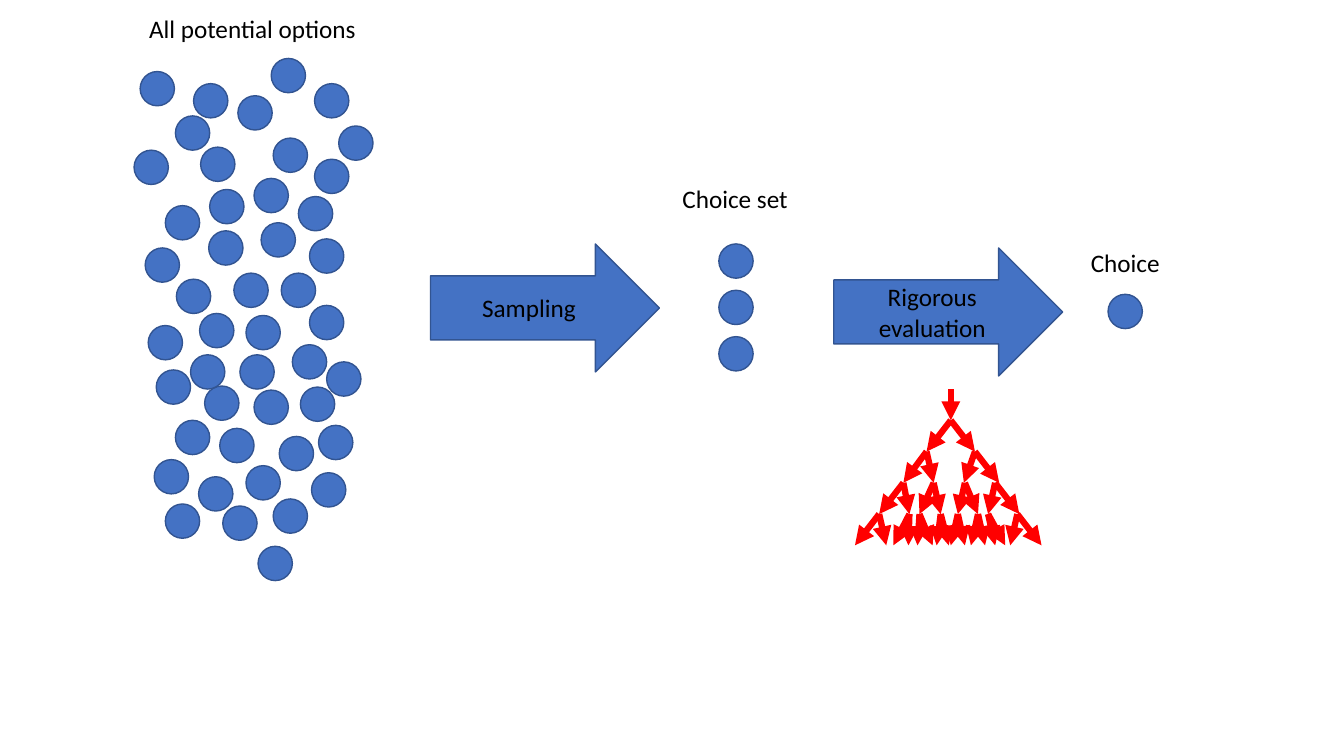
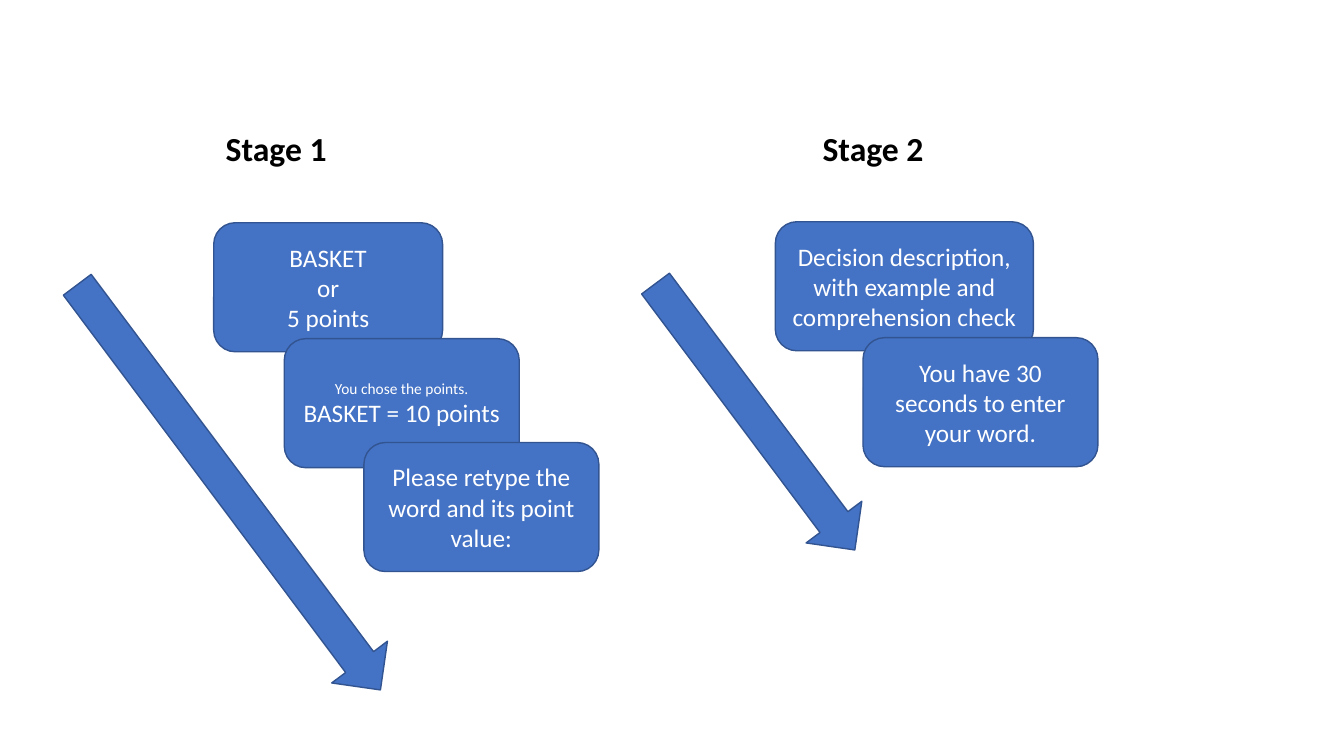
from lxml.etree import SubElement
from pptx import Presentation
from pptx.dml.color import RGBColor
from pptx.enum.shapes import MSO_CONNECTOR, MSO_SHAPE
from pptx.enum.text import MSO_ANCHOR, MSO_AUTO_SIZE, PP_ALIGN
from pptx.oxml.ns import qn
from pptx.util import Inches, Pt

OVAL, CARD = MSO_SHAPE.OVAL, MSO_SHAPE.ROUNDED_RECTANGLE
ARROW, LINE = MSO_SHAPE.RIGHT_ARROW, MSO_CONNECTOR.STRAIGHT
CENTER, LEFT = PP_ALIGN.CENTER, PP_ALIGN.LEFT
MIDDLE, FIT = MSO_ANCHOR.MIDDLE, MSO_AUTO_SIZE.SHAPE_TO_FIT_TEXT

# The grid has square cells, one inch wide
CELL, COLS, ROWS = Inches(1), 13.33, 7.5
COLORS = {"blue": "4472C4", "edge": "325491", "red": "FF0000",
          "ink": "000000", "white": "FFFFFF"}
FONT = "Calibri"
DOT = 0.34


def span(*cells):
    """Turn grid cells into lengths."""
    return [int(n * CELL) for n in cells]


def color(name):
    """Look up a colour by name."""
    return RGBColor.from_string(COLORS[name])


class Board:
    """Hold the deck's style and draw on the current slide."""

    def __init__(self):
        """Start an empty deck."""
        self.deck = Presentation()
        self.deck.slide_width, self.deck.slide_height = span(COLS, ROWS)

    def slide(self):
        """Add a blank slide and draw on it."""
        page = self.deck.slides.add_slide(self.deck.slide_layouts[6])
        self.root = self.shapes = page.shapes

    def group(self):
        """Draw into a new group."""
        self.shapes = self.root.add_group_shape().shapes

    def ungroup(self):
        """Draw on the slide itself again."""
        self.shapes = self.root

    def letter(self, frame, text, sizes, ink, align, bold=False):
        """Fill a frame; the last size serves all further lines."""
        frame.text = text
        for i, line in enumerate(frame.paragraphs):
            line.alignment = align
            for run in line.runs:
                font = run.font
                font.name, font.bold = FONT, bold
                font.size = Pt(sizes[min(i, len(sizes) - 1)])
                font.color.rgb = color(ink)

    def shape(self, kind, x, y, w, h, text="", ink="white", sizes=(18,)):
        """Add a blue shape with centred text."""
        item = self.shapes.add_shape(kind, *span(x, y, w, h))
        item.shadow.inherit = False
        item.fill.solid()
        item.fill.fore_color.rgb = color("blue")
        item.line.color.rgb = color("edge")
        item.line.width = Pt(1)
        if text:
            item.text_frame.vertical_anchor = MIDDLE
            self.letter(item.text_frame, text, sizes, ink, CENTER)
        return item

    def dot(self, x, y):
        """Add one option."""
        self.shape(OVAL, x, y, DOT, DOT)

    def label(self, x, y, w, h, text, size=18, bold=False):
        """Add a caption on one line."""
        frame = self.shapes.add_textbox(*span(x, y, w, h)).text_frame
        frame.word_wrap = False
        frame.auto_size = FIT
        self.letter(frame, text, (size,), "ink", LEFT, bold)

    def branch(self, x1, y1, x2, y2):
        """Add a red line with an arrowhead at its end."""
        item = self.shapes.add_connector(LINE, *span(x1, y1, x2, y2))
        item.line.color.rgb = color("red")
        item.line.width = Pt(4.5)
        props = item.element.spPr
        SubElement(props.find(qn("a:ln")), qn("a:tailEnd"), type="triangle")
        SubElement(props, qn("a:effectLst"))


OPTIONS = [
    (2.71, 1.37), (2.36, 0.95), (3.12, 1.58), (3.36, 1.25), (3.12, 0.83),
    (2.69, 0.58), (2.96, 1.95), (3.07, 2.37), (2.52, 1.77), (2.79, 2.71),
    (2.59, 2.21), (1.99, 1.46), (1.44, 2.46), (2.44, 3.13), (2.32, 2.71),
    (2.07, 2.29), (1.64, 2.04), (1.98, 3.11), (2.03, 3.83), (1.47, 3.23),
    (1.74, 4.17), (1.55, 3.67), (1.75, 2.77), (2.38, 3.52), (1.89, 3.52),
    (3.07, 3.03), (3.24, 3.59), (2.9, 3.42), (2.18, 4.25), (3.16, 4.22),
    (2.98, 3.84), (2.77, 4.33), (2.52, 3.87), (2.44, 4.62), (1.53, 4.56),
    (2.21, 5.02), (2.56, 5.42), (1.64, 5), (1.97, 4.73), (3.09, 4.69),
    (2.71, 4.95), (2.08, 1.88), (1.33, 1.49), (1.74, 1.15), (1.92, 0.83),
    (1.39, 0.71)]

# Each level of the tree: a start column and the columns it leads to
TREE = [
    [(9.43, 9.43)],
    [(9.43, 9.19, 9.67)],
    [(9.19, 8.96, 9.26), (9.67, 9.56, 9.91)],
    [(8.96, 8.72, 9.02), (9.26, 9.12, 9.33),
     (9.87, 10.11, 9.8), (9.57, 9.7, 9.5)],
    [(8.72, 8.48, 8.79), (9.02, 8.86, 9.01), (9.12, 9.25, 9.1),
     (9.33, 9.41, 9.29), (9.5, 9.57, 9.43), (9.7, 9.77, 9.63),
     (9.8, 9.97, 9.87), (10.09, 10.33, 10.02)]]
TOP, STEP = 3.86, 0.31

# Each stage: title column, cards, then the arrow's place
STAGES = [
    ("Stage 1", 2.14, [
        (2.12, 2.21, 2.27, "BASKET\nor\n5 points", (18,)),
        (2.82, 3.36, 2.33, "You chose the points.\nBASKET = 10 points",
         (11, 18)),
        (3.61, 4.39, 2.33, "Please retype the word and its point value:",
         (18,))],
     (-0.24, 4.49, 5.02)),
    ("Stage 2", 8.06, [
        (7.69, 2.2, 2.56, "Decision description, with example and "
         "comprehension check", (18,)),
        (8.56, 3.35, 2.33, "You have 30 seconds to enter your word.",
         (18,))],
     (5.84, 3.79, 3.3))]


def choices(board):
    """Draw how options narrow down to one choice."""
    board.slide()
    for x, y in OPTIONS:
        board.dot(x, y)
    for x, y, text in [(4.27, 2.42, "Sampling"),
                       (8.27, 2.46, "Rigorous evaluation")]:
        board.shape(ARROW, x, y, 2.27, 1.27, text, "ink")
    for i in range(3):
        board.dot(7.13, 2.42 + i * 0.46)
    board.dot(10.99, 2.92)
    for x, y, w, text in [(1.38, 0.08, 2.28, "All potential options"),
                          (6.67, 1.77, 1.26, "Choice set"),
                          (10.72, 2.4, 0.89, "Choice")]:
        board.label(x, y, w, 0.4, text)
    board.group()
    for i, level in enumerate(TREE):
        y = TOP + i * STEP
        for start, *ends in level:
            for end in ends:
                board.branch(start, y, end, y + STEP)
    board.ungroup()


def stages(board):
    """Draw the cards and the time arrow of both stages."""
    board.slide()
    for title, left, cards, (x, y, w) in STAGES:
        board.group()
        for col, row, wide, text, sizes in cards:
            board.shape(CARD, col, row, wide, 1.28, text, sizes=sizes)
        board.shape(ARROW, x, y, w, 0.69).rotation = 53.2
        board.label(left, 1.22, 1.21, 0.5, title, 24, True)
    board.ungroup()


def main():
    """Build and save the deck."""
    board = Board()
    choices(board)
    stages(board)
    board.deck.save("out.pptx")


main()
